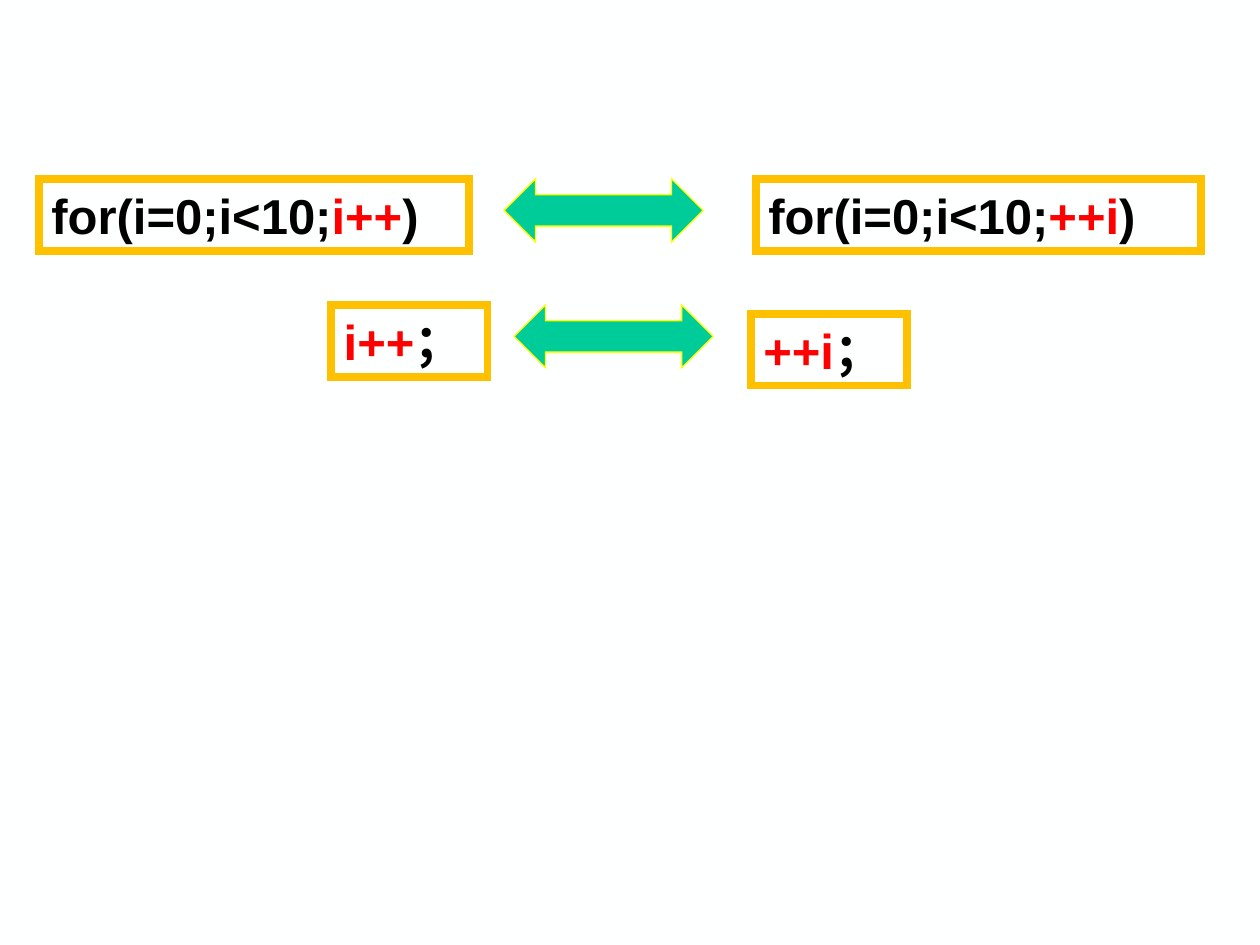
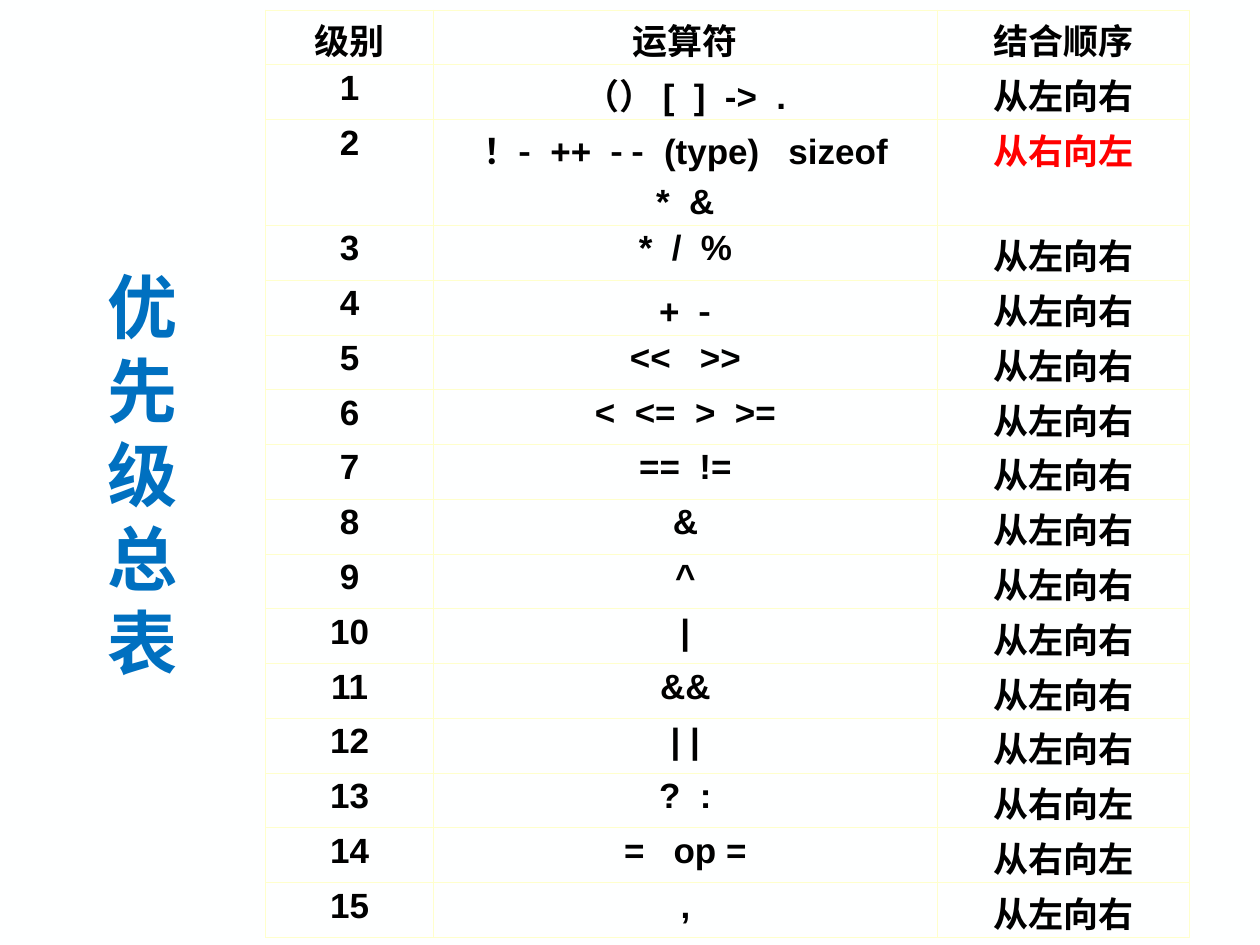
"""Builds two slides on C increment equivalence and operator precedence."""
from dataclasses import dataclass

from lxml import etree
from pptx import Presentation
from pptx.dml.color import RGBColor
from pptx.enum.shapes import MSO_SHAPE
from pptx.enum.text import MSO_ANCHOR, MSO_AUTO_SIZE, PP_ALIGN
from pptx.oxml.ns import qn
from pptx.util import Inches, Pt

RECTANGLE = MSO_SHAPE.RECTANGLE
DOUBLE_ARROW = MSO_SHAPE.LEFT_RIGHT_ARROW
BOTTOM, MIDDLE = MSO_ANCHOR.BOTTOM, MSO_ANCHOR.MIDDLE
CENTER, LEFT = PP_ALIGN.CENTER, PP_ALIGN.LEFT
NO_AUTOSIZE = MSO_AUTO_SIZE.NONE
TITLE_ONLY, BLANK = 5, 6


@dataclass(frozen=True)
class Theme:
    """Colours, fonts and type sizes of the deck."""
    background: str = "FEFFFF"
    ink: str = "000000"
    accent: str = "FF0000"
    title: str = "0070C0"
    frame: str = "FFC000"
    arrow: str = "00CC99"
    arrow_edge: str = "FFFF00"
    grid: str = "FFFFCC"
    body_font: str = "Arial"
    dash_font: str = "Noto Sans CJK SC"
    title_font: str = "Times New Roman"
    code_size: int = 28
    table_size: int = 20
    title_size: int = 40
    title_leading: int = 48


THEME = Theme()

LOOP_START = ("for(i=0;i<10;", THEME.ink)
POSTFIX, PREFIX = ("i++", THEME.accent), ("++i", THEME.accent)
LOOP_END, STATEMENT_END = (")", THEME.ink), ("；", THEME.ink)
CODE_BOX_HEIGHT = 0.57
CODE_BOXES = [
    (0.31, 1.42, 3.41, (LOOP_START, POSTFIX, LOOP_END)),
    (6, 1.42, 3.53, (LOOP_START, PREFIX, LOOP_END)),
    (2.63, 2.42, 1.24, (POSTFIX, STATEMENT_END)),
    (5.96, 2.49, 1.24, (PREFIX, STATEMENT_END)),
]
ARROWS = [(4, 1.42), (4.08, 2.42)]
ARROW_SIZE = (1.58, 0.5)

TITLE = "优先级总表"
TITLE_PLACE = (0.75, 0.67, 0.5, 6.17)
HEADINGS = ("级别", "运算符", "结合顺序")
LEFT_TO_RIGHT, RIGHT_TO_LEFT = "从左向右", "从右向左"
OPERATOR_LEVELS = [
    [["（） [", "]", "->", "."]],
    [["！", "-", "++", "- -", "(type)", "sizeof"], ["*", "&"]],
    [["*", "/", "%"]],
    [["+", "-"]],
    [["<<", ">>"]],
    [["<", "<=", ">", ">="]],
    [["==", "!="]],
    [["&"]],
    [["^"]],
    [["|"]],
    [["&&"]],
    [["| |"]],
    [["?", ":"]],
    [["=", "op ="]],
    [[","]],
]
RIGHT_TO_LEFT_LEVELS = {2, 13, 14}
HIGHLIGHTED_LEVEL = 2
DASH_OPERATORS = {"-", "- -"}
FULL_WIDTH_OPERATORS = {"！"}
WIDELY_SPACED_OPERATORS = {">>", "sizeof", "op ="}
OPERATOR_GAP = 5.5
TABLE_PLACE = (2.11, 0.08)
COLUMN_WIDTHS = (1.33, 4, 2)
ROW_HEIGHT, TALL_ROW_HEIGHT = 0.435, 0.84
CELL_TOP_MARGIN = 0.03


def add_run(paragraph, text, size, color=THEME.ink, font=THEME.body_font):
    """Append a bold run and return it."""
    run = paragraph.add_run()
    run.text = text
    run.font.size, run.font.bold, run.font.name = Pt(size), True, font
    run.font.color.rgb = RGBColor.from_string(color)
    return run


def add_figure(slide, preset, place, edge, edge_width):
    """Add an unfilled, shadowless shape with a sharp coloured edge."""
    figure = slide.shapes.add_shape(preset, *map(Inches, place))
    figure.shadow.inherit = False
    figure.fill.background()
    figure.line.color.rgb = RGBColor.from_string(edge)
    figure.line.width = Pt(edge_width)
    outline = figure._element.spPr.find(qn("a:ln"))
    etree.SubElement(outline, qn("a:miter"), lim="800000")
    return figure


def build_equivalence(slide):
    """Show postfix and prefix forms joined by double arrows."""
    for left, top, width, pieces in CODE_BOXES:
        place = (left, top, width, CODE_BOX_HEIGHT)
        frame = add_figure(slide, RECTANGLE, place, THEME.frame, 4.5).text_frame
        frame.word_wrap, frame.auto_size = False, NO_AUTOSIZE
        frame.vertical_anchor = BOTTOM
        code = frame.paragraphs[0]
        code.alignment = LEFT
        for text, color in pieces:
            run = add_run(code, text, THEME.code_size, color)
            east_asian = etree.SubElement(run.font._element, qn("a:ea"))
            east_asian.set("typeface", THEME.body_font)
    for origin in ARROWS:
        arrow = add_figure(slide, DOUBLE_ARROW, origin + ARROW_SIZE, THEME.arrow_edge, 0.75)
        arrow.fill.solid()
        arrow.fill.fore_color.rgb = RGBColor.from_string(THEME.arrow)


def style_cell(cell):
    """Give a cell thin borders, tight margins and no fill."""
    properties = cell._tc.get_or_add_tcPr()
    for side in ("a:lnL", "a:lnR", "a:lnT", "a:lnB"):
        border = etree.SubElement(properties, qn(side), w=str(Pt(0.45)))
        fill = etree.SubElement(border, qn("a:solidFill"))
        etree.SubElement(fill, qn("a:srgbClr"), val=THEME.grid)
    cell.fill.background()
    cell.margin_top, cell.margin_bottom = Inches(CELL_TOP_MARGIN), 0


def add_gap(paragraph, before, after):
    """Separate two operators by one widened space."""
    if before in FULL_WIDTH_OPERATORS:
        return
    gap = add_run(paragraph, " ", THEME.table_size)
    widening = OPERATOR_GAP * (2 if after in WIDELY_SPACED_OPERATORS else 1)
    gap.font._element.set("spc", str(int(widening * 100)))


def fill_cell(cell, lines, color=THEME.ink):
    """Write lines of spaced items into a cell."""
    style_cell(cell)
    frame = cell.text_frame
    for number, items in enumerate(lines):
        paragraph = frame.add_paragraph() if number else frame.paragraphs[0]
        paragraph.alignment = CENTER
        paragraph.space_before = Pt(5 if number else 0)
        for position, item in enumerate(items):
            if position:
                add_gap(paragraph, items[position - 1], item)
            font = THEME.dash_font if item in DASH_OPERATORS else THEME.body_font
            add_run(paragraph, item, THEME.table_size, color, font)


def build_precedence(slide):
    """Show the table of operator levels beside an upright title."""
    heights = [ROW_HEIGHT] + [
        TALL_ROW_HEIGHT if len(lines) > 1 else ROW_HEIGHT for lines in OPERATOR_LEVELS]
    size = (sum(COLUMN_WIDTHS), sum(heights))
    table = slide.shapes.add_table(
        len(heights), len(COLUMN_WIDTHS), *map(Inches, TABLE_PLACE + size)).table
    table.first_row = table.horz_banding = False
    for column, width in zip(table.columns, COLUMN_WIDTHS):
        column.width = Inches(width)
    for row, height in zip(table.rows, heights):
        row.height = Inches(height)
    for column, heading in enumerate(HEADINGS):
        fill_cell(table.cell(0, column), [[heading]])
    for level, lines in enumerate(OPERATOR_LEVELS, 1):
        order = RIGHT_TO_LEFT if level in RIGHT_TO_LEFT_LEVELS else LEFT_TO_RIGHT
        order_color = THEME.accent if level == HIGHLIGHTED_LEVEL else THEME.ink
        fill_cell(table.cell(level, 0), [[str(level)]])
        fill_cell(table.cell(level, 1), lines)
        fill_cell(table.cell(level, 2), [[order]], order_color)

    title = slide.shapes.title
    title.left, title.top, title.width, title.height = map(Inches, TITLE_PLACE)
    title.text_frame.word_wrap = True
    title.text_frame.auto_size = NO_AUTOSIZE
    title.text_frame.vertical_anchor = MIDDLE
    heading = title.text_frame.paragraphs[0]
    heading.alignment = CENTER
    heading.line_spacing = Pt(THEME.title_leading)
    add_run(heading, TITLE, THEME.title_size, THEME.title, THEME.title_font)


def main():
    """Build and save the deck."""
    deck = Presentation()
    deck.slide_width, deck.slide_height = Inches(10), Inches(7.5)
    backdrop = deck.slide_master.background.fill
    backdrop.solid()
    backdrop.fore_color.rgb = RGBColor.from_string(THEME.background)
    for layout, build in ((BLANK, build_equivalence), (TITLE_ONLY, build_precedence)):
        build(deck.slides.add_slide(deck.slide_layouts[layout]))
    deck.save("out.pptx")


if __name__ == "__main__":
    main()
